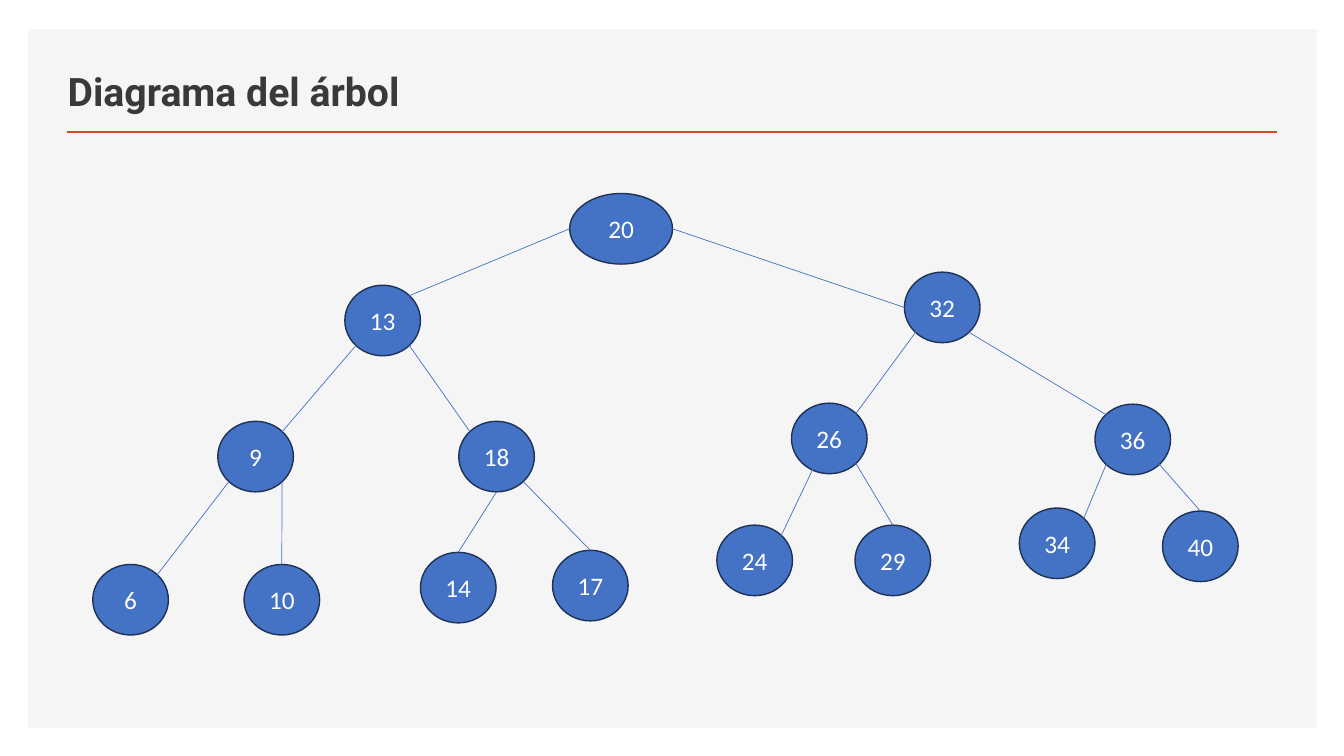
from lxml.etree import SubElement
from pptx import Presentation
from pptx.dml.color import RGBColor
from pptx.enum.shapes import MSO_CONNECTOR as Connector, MSO_SHAPE as Shape
from pptx.enum.text import MSO_ANCHOR as Anchor, MSO_AUTO_SIZE as AutoSize, PP_ALIGN as Align
from pptx.oxml.ns import qn
from pptx.util import Inches, Pt

NODE_WIDTH, NODE_HEIGHT, ROOT_WIDTH = 0.75, 0.7, 1.02

# Value: left, top
NODES = {
    20: (5.65, 1.92),
    13: (3.42, 2.83), 32: (8.97, 2.7),
    9: (2.16, 4.18), 18: (4.55, 4.18), 26: (7.85, 4), 36: (10.86, 4.01),
    6: (0.92, 5.6), 10: (2.42, 5.6), 14: (4.17, 5.48), 17: (5.48, 5.46),
    24: (7.11, 5.21), 29: (8.48, 5.21), 34: (10.11, 5.04), 40: (11.53, 5.07),
}

# Joining points as fractions of a node's width and height
NEAR, FAR = 0.15, 0.85
SITES = {
    "top": (0.5, 0), "bottom": (0.5, 1), "left": (0, 0.5), "right": (1, 0.5),
    "top left": (NEAR, NEAR), "top right": (FAR, NEAR),
    "bottom left": (NEAR, FAR), "bottom right": (FAR, FAR),
    "lower left": (0.32, FAR),
}

# Parent, its joining point, child, its joining point
BRANCHES = [
    (20, "right", 32, "left"), (20, "left", 13, "top right"),
    (13, "bottom left", 9, "top right"), (13, "bottom right", 18, "top left"),
    (18, "bottom", 14, "top"), (18, "bottom right", 17, "top"),
    (9, "bottom left", 6, "top right"), (9, "bottom right", 10, "top"),
    (32, "bottom left", 26, "top right"), (32, "bottom right", 36, "top left"),
    (26, "bottom right", 29, "top"), (26, "lower left", 24, "top right"),
    (36, "bottom right", 40, "top"), (36, "bottom left", 34, "top right"),
]


def color(hex_code):
    return RGBColor.from_string(hex_code)


def node_size(value):
    return (ROOT_WIDTH if value == 20 else NODE_WIDTH), NODE_HEIGHT


def node_point(value, site):
    """Return the slide position of a joining point on a node."""
    return [start + size * share for start, size, share
            in zip(NODES[value], node_size(value), SITES[site])]


class TreeSlide:
    PANEL, ACCENT, TITLE = "F5F5F5", "D24726", "3B3838"
    NODE, NODE_EDGE, NODE_TEXT = "4472C4", "1E3256", "FFFFFF"

    def __init__(self, deck):
        self.slide = deck.slides.add_slide(deck.slide_layouts[5])

    def add_text(self, frame, text, font, size, hex_code, align, bold=False):
        paragraph = frame.paragraphs[0]
        paragraph.alignment = align
        run = paragraph.add_run()
        run.text = text
        run.font.name, run.font.size, run.font.bold = font, Pt(size), bold
        run.font.color.rgb = color(hex_code)
        return paragraph

    def shape(self, kind, left, top, width, height, fill):
        shape = self.slide.shapes.add_shape(
            kind, Inches(left), Inches(top), Inches(width), Inches(height))
        shape.shadow.inherit = False
        shape.fill.solid()
        shape.fill.fore_color.rgb = color(fill)
        shape.line.fill.background()
        return shape

    def line(self, start, end, hex_code, weight):
        line = self.slide.shapes.add_connector(
            Connector.STRAIGHT, *map(Inches, (*start, *end)))
        line.line.color.rgb = color(hex_code)
        line.line.width = Pt(weight)
        SubElement(line.element.spPr, qn("a:effectLst"))

    def panel(self):
        panel = self.shape(Shape.RECTANGLE, 0.28, 0.29, 12.78, 6.93, self.PANEL)
        self.slide.shapes.title.element.addprevious(panel.element)

    def title(self, text):
        title = self.slide.shapes.title
        title.left, title.top = Inches(0.57), Inches(0.49)
        title.width, title.height = Inches(7.52), Inches(0.7)
        frame = title.text_frame
        frame.auto_size, frame.vertical_anchor = AutoSize.NONE, Anchor.BOTTOM
        paragraph = self.add_text(frame, text, "Roboto", 28, self.TITLE, Align.LEFT, bold=True)
        paragraph.line_spacing = 0.9

    def node(self, value):
        node = self.shape(Shape.OVAL, *NODES[value], *node_size(value), self.NODE)
        node.line.color.rgb = color(self.NODE_EDGE)
        node.line.width = Pt(1)
        node.text_frame.vertical_anchor = Anchor.MIDDLE
        self.add_text(node.text_frame, str(value), "Calibri", 18, self.NODE_TEXT, Align.CENTER)

    def branch(self, parent, parent_site, child, child_site):
        self.line(node_point(parent, parent_site), node_point(child, child_site), self.NODE, 0.5)


def main():
    deck = Presentation()
    deck.slide_width, deck.slide_height = Inches(13.33), Inches(7.5)
    tree = TreeSlide(deck)
    tree.panel()
    tree.title("Diagrama del árbol")
    tree.line((0.66, 1.31), (12.67, 1.31), tree.ACCENT, 2)
    for value in NODES:
        tree.node(value)
    for branch in BRANCHES:
        tree.branch(*branch)
    deck.save("out.pptx")


if __name__ == "__main__":
    main()
